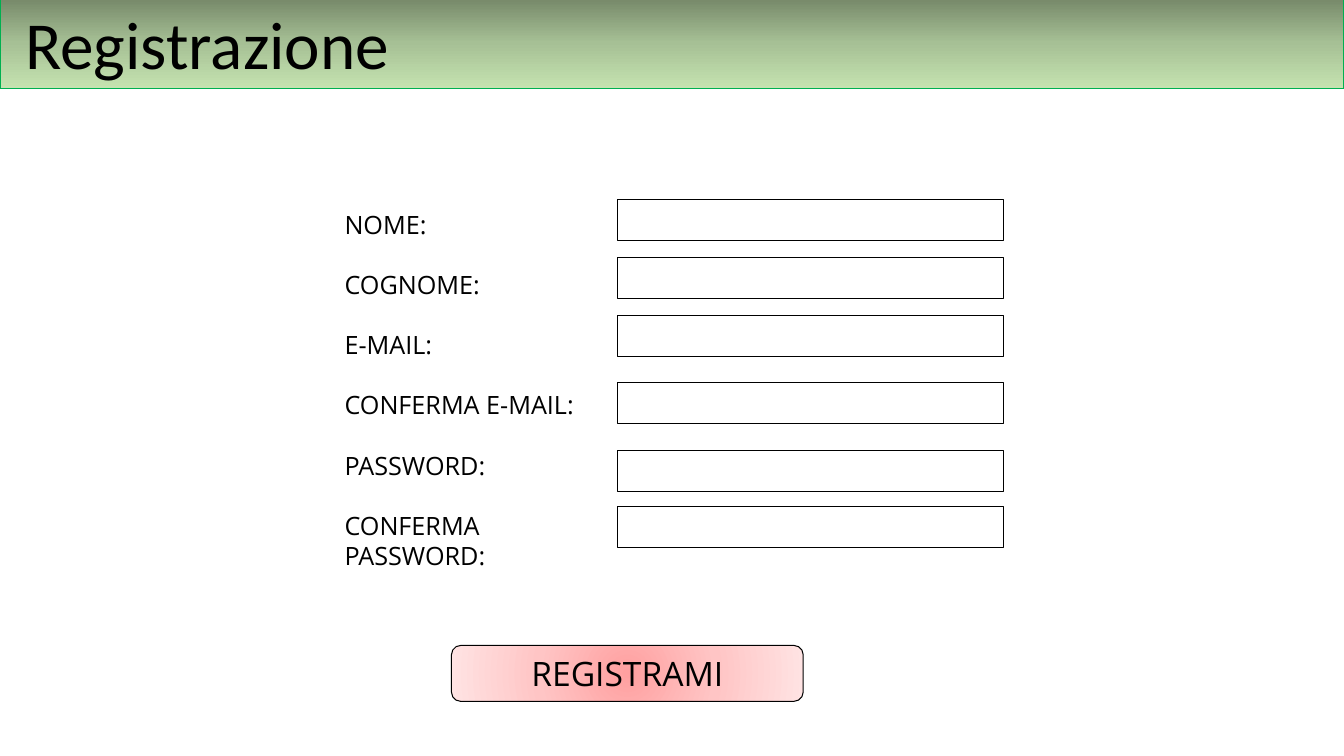
from dataclasses import dataclass

import lxml.etree
import pptx
import pptx.dml.color
import pptx.enum.shapes
import pptx.enum.text
import pptx.oxml
import pptx.oxml.ns
import pptx.shapes.autoshape
import pptx.text.text
import pptx.util

Pt = pptx.util.Pt
Shapes = pptx.enum.shapes.MSO_SHAPE
Align = pptx.enum.text.PP_ALIGN
Anchor = pptx.enum.text.MSO_ANCHOR

BLACK = "000000"
FORM_FONT = "Open Sans"
LINEAR_DOWN = '<a:lin ang="5400000" scaled="0"/>'
FROM_CENTRE = (
    '<a:path path="circle">'
    '<a:fillToRect l="50000" t="50000" r="50000" b="50000"/></a:path>'
)


@dataclass
class Box:
    left: float
    top: float
    width: float
    height: float


@dataclass
class FormRow:
    label: str
    field_top: float


FORM_ROWS = [
    FormRow("NOME:", 142.5),
    FormRow("COGNOME:", 184),
    FormRow("E-MAIL:", 225.5),
    FormRow("CONFERMA E-MAIL:", 273.5),
    FormRow("PASSWORD:", 321.75),
    FormRow("CONFERMA PASSWORD:", 361.75),
]


def colour(value: str) -> pptx.dml.color.RGBColor:
    return pptx.dml.color.RGBColor.from_string(value)


def add_outlined_shape(
    kind: Shapes, box: Box, line_colour: str, line_width: float
) -> pptx.shapes.autoshape.Shape:
    shape = slide.shapes.add_shape(
        kind, Pt(box.left), Pt(box.top), Pt(box.width), Pt(box.height)
    )
    shape.shadow.inherit = False
    shape.fill.background()
    shape.line.color.rgb = colour(line_colour)
    shape.line.width = Pt(line_width)
    return shape


def set_gradient(
    shape: pptx.shapes.autoshape.Shape, colours: list[str], direction: str
) -> None:
    """Replace the fill by evenly spaced colour stops."""
    step = 100000 // (len(colours) - 1)
    stops = "".join(
        f'<a:gs pos="{index * step}"><a:srgbClr val="{value}"/></a:gs>'
        for index, value in enumerate(colours)
    )
    gradient = pptx.oxml.parse_xml(
        f'<a:gradFill {pptx.oxml.ns.nsdecls("a")} rotWithShape="1">'
        f"<a:gsLst>{stops}</a:gsLst>{direction}</a:gradFill>"
    )
    properties = shape._element.spPr
    properties.replace(properties.find(pptx.oxml.ns.qn("a:noFill")), gradient)


def format_paragraph(
    paragraph: pptx.text.text._Paragraph, font: str, size: float, alignment: Align
) -> None:
    paragraph.alignment = alignment
    for run in paragraph.runs:
        run.font.name = font
        run.font.size = Pt(size)
        run.font.color.rgb = colour(BLACK)


presentation = pptx.Presentation()
presentation.slide_width = Pt(960)
presentation.slide_height = Pt(540)
slide = presentation.slides.add_slide(presentation.slide_layouts[6])

# Title bar
title_bar = add_outlined_shape(Shapes.RECTANGLE, Box(0, -2, 960, 65.25), "00B050", 1)
set_gradient(title_bar, ["758768", "A6C095", "C5E3B0"], LINEAR_DOWN)
title_frame = title_bar.text_frame
title_frame.text = "Registrazione"
title_frame.margin_left = Pt(18)
title_frame.vertical_anchor = Anchor.MIDDLE
format_paragraph(title_frame.paragraphs[0], "Calibri", 48, Align.LEFT)

# Form labels, one paragraph per row
labels = slide.shapes.add_textbox(Pt(239), Pt(146), Pt(209.5), Pt(247))
labels_frame = labels.text_frame
labels_frame.word_wrap = True
labels_frame.text = "\n".join(row.label for row in FORM_ROWS)
for paragraph in labels_frame.paragraphs:
    format_paragraph(paragraph, FORM_FONT, 18, Align.LEFT)
    paragraph.line_spacing = Pt(21.5)
    paragraph.space_after = Pt(21.5)

# Input fields
for row in FORM_ROWS:
    add_outlined_shape(
        Shapes.RECTANGLE, Box(440.75, row.field_top, 276, 29), BLACK, 0.75
    )

# Submit button
button = add_outlined_shape(
    Shapes.ROUNDED_RECTANGLE, Box(322.5, 461, 251.25, 40), BLACK, 0.75
)
set_gradient(button, ["FFA0A0", "FFC5C5", "FFE3E3"], FROM_CENTRE)
button_frame = button.text_frame
button_frame.text = "REGISTRAMI"
button_frame.vertical_anchor = Anchor.MIDDLE
format_paragraph(button_frame.paragraphs[0], FORM_FONT, 24, Align.CENTER)

presentation.save("out.pptx")
